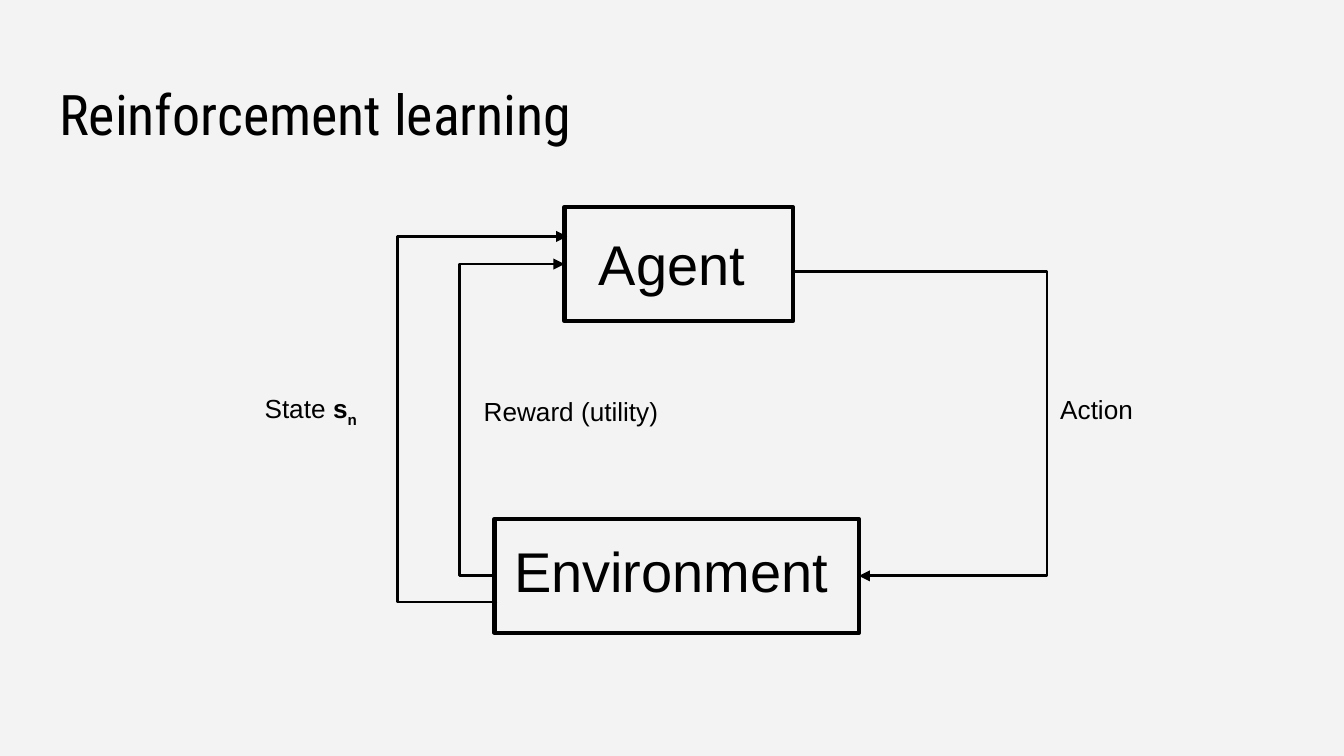
from lxml import etree
from pptx import Presentation
from pptx.dml.color import RGBColor
from pptx.enum.shapes import MSO_CONNECTOR, MSO_SHAPE
from pptx.enum.text import MSO_ANCHOR, PP_ALIGN
from pptx.oxml.ns import qn
from pptx.util import Inches, Pt

BLACK = "000000"


def rgb(hex_color):
    return RGBColor.from_string(hex_color)


def write(sp, *parts, size=14, font="Arial", align=PP_ALIGN.LEFT):
    """Fill a shape with one paragraph; each part is (text, bold, baseline)."""
    tf = sp.text_frame
    tf.word_wrap = True
    tf.vertical_anchor = MSO_ANCHOR.TOP
    tf.margin_left = tf.margin_right = tf.margin_top = tf.margin_bottom = Inches(0.1)
    p = tf.paragraphs[0]
    p.alignment = align
    for text, bold, baseline in parts:
        r = p.add_run()
        r.text = text
        r.font.size = Pt(size)
        r.font.name = font
        r.font.bold = bold
        r.font.color.rgb = rgb(BLACK)
        if baseline:
            r._r.get_or_add_rPr().set("baseline", str(baseline * 1000))


prs = Presentation()
prs.slide_width = Inches(10)
prs.slide_height = Inches(10) * 9 // 16
s = prs.slides.add_slide(prs.slide_layouts[5])
s.background.fill.solid()
s.background.fill.fore_color.rgb = rgb("F3F3F3")

title = s.shapes.title
title.left, title.top = Inches(0.34), Inches(0.49)
title.width, title.height = Inches(9.32), Inches(0.63)
write(title, ("Reinforcement learning", False, 0), size=30, font="Roboto Condensed")

# Boxes
boxes = []
for x, y, w in [(4.2, 1.54, 1.7), (3.68, 3.86, 2.71)]:
    sp = s.shapes.add_shape(MSO_SHAPE.RECTANGLE, Inches(x), Inches(y), Inches(w), Inches(0.85))
    sp.shadow.inherit = False
    sp.fill.background()
    sp.line.color.rgb = rgb(BLACK)
    sp.line.width = Pt(2.25)
    boxes.append(sp)
agent, environment = boxes

# Arrows: start, end, x of the vertical run, glued (box, side) at start and at end
arrows = [
    ((5.9, 2.02), (6.39, 4.28), 7.79, None, (environment, 3)),  # action
    ((3.68, 4.28), (4.2, 1.96), 3.42, (environment, 1), (agent, 1)),  # reward
    ((3.7, 4.48), (4.22, 1.76), 2.96, None, None),  # state
]
for (x1, y1), (x2, y2), bend, start, end in arrows:
    c = s.shapes.add_connector(MSO_CONNECTOR.ELBOW, Inches(x1), Inches(y1), Inches(x2), Inches(y2))
    if start:
        c.begin_connect(*start)
    if end:
        c.end_connect(*end)
    c.line.color.rgb = rgb(BLACK)
    c.line.width = Pt(1.5)
    spPr = c._element.spPr
    etree.SubElement(spPr.find(qn("a:ln")), qn("a:tailEnd"), type="triangle")
    etree.SubElement(spPr, qn("a:effectLst"))
    adjustments = spPr.find(qn("a:prstGeom")).get_or_add_avLst()
    ratio = round((bend - x1) / (x2 - x1) * 100000)
    etree.SubElement(adjustments, qn("a:gd"), name="adj1", fmla=f"val {ratio}")

# Labels
labels = [
    (4.1, 1.61, 1.8, 0.78, 30, PP_ALIGN.CENTER, [("Agent", False, 0)]),
    (3.61, 3.89, 2.77, 0.78, 30, PP_ALIGN.CENTER, [("Environment", False, 0)]),
    (7.79, 2.83, 0.82, 0.6, 14, PP_ALIGN.LEFT, [("Action", False, 0)]),
    (3.5, 2.84, 1.71, 0.6, 14, PP_ALIGN.LEFT, [("Reward (utility)", False, 0)]),
    (1.87, 2.82, 0.99, 0.6, 14, PP_ALIGN.LEFT,
     [("State ", False, 0), ("s", True, 0), ("n", True, -25)]),
]
for x, y, w, h, size, align, parts in labels:
    tb = s.shapes.add_textbox(Inches(x), Inches(y), Inches(w), Inches(h))
    write(tb, *parts, size=size, align=align)

prs.save("out.pptx")
